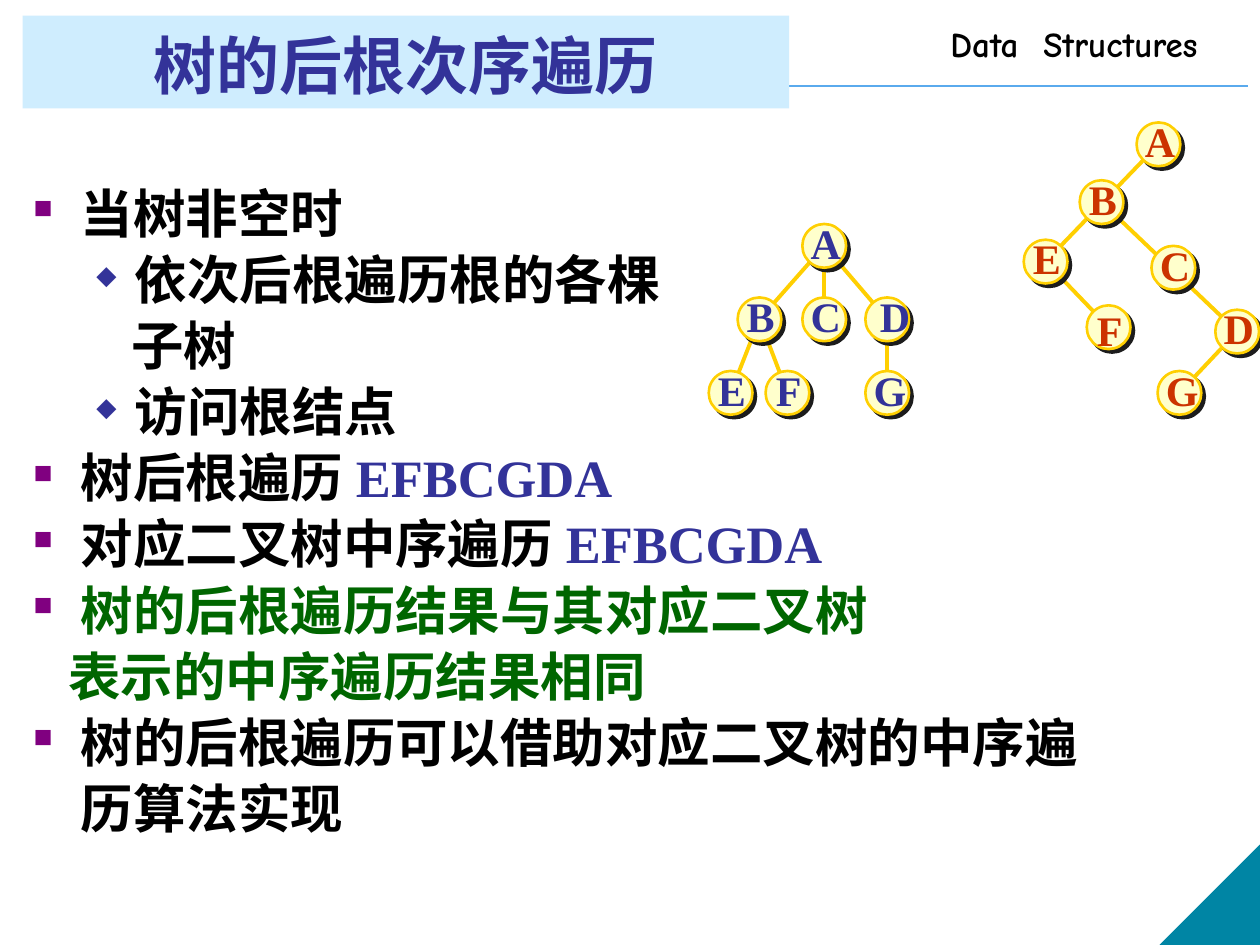
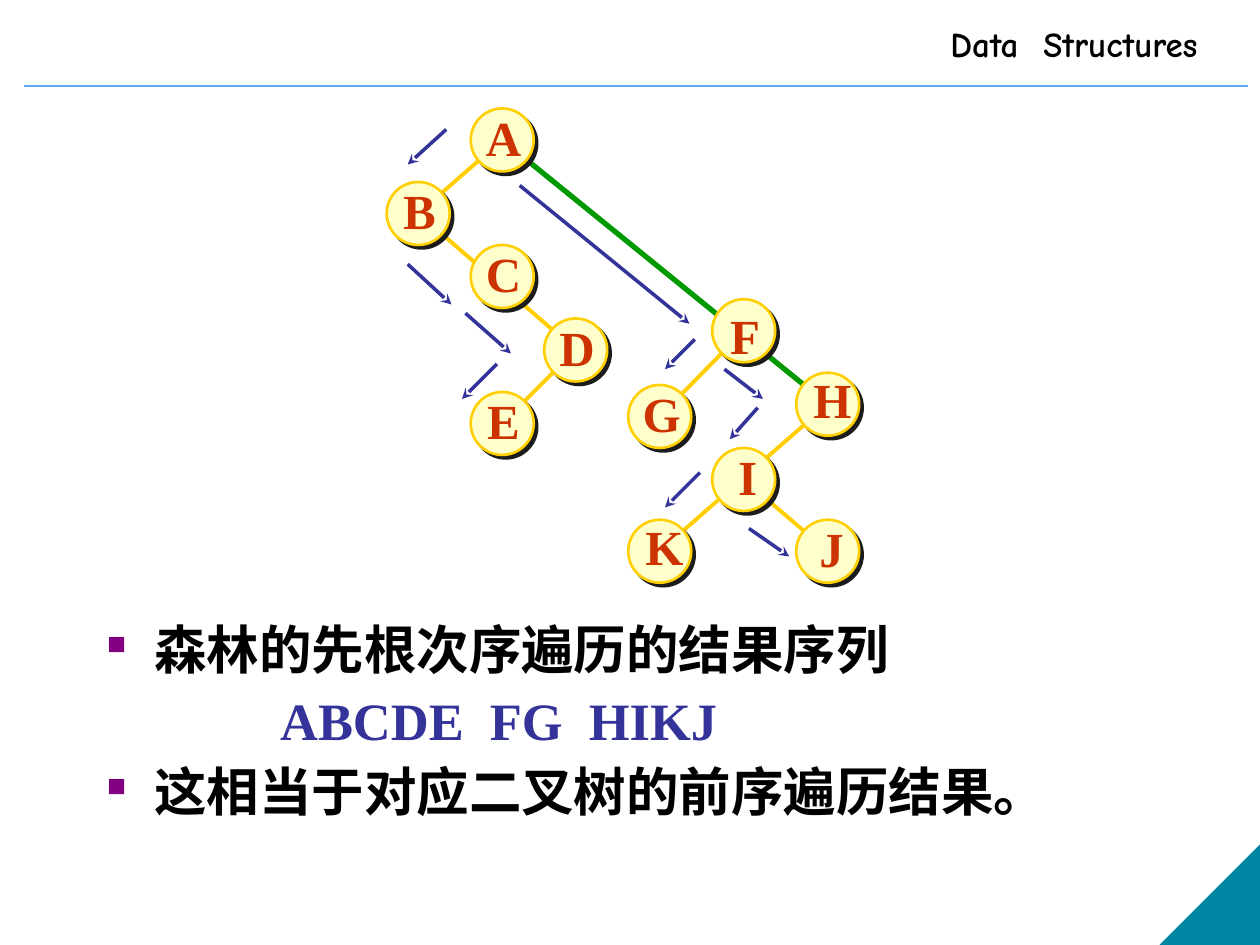
from math import hypot

from lxml import etree
from pptx import Presentation
from pptx.dml.color import RGBColor
from pptx.enum.shapes import MSO_CONNECTOR, MSO_SHAPE
from pptx.enum.text import MSO_ANCHOR, MSO_AUTO_SIZE, PP_ALIGN
from pptx.oxml.ns import qn
from pptx.util import Pt

CENTER = PP_ALIGN.CENTER
MIDDLE, BOTTOM = MSO_ANCHOR.MIDDLE, MSO_ANCHOR.BOTTOM
GROW = MSO_AUTO_SIZE.SHAPE_TO_FIT_TEXT
STRAIGHT = MSO_CONNECTOR.STRAIGHT
RECTANGLE, ELLIPSE = MSO_SHAPE.RECTANGLE, MSO_SHAPE.OVAL
CORNER = MSO_SHAPE.RIGHT_TRIANGLE

BLACK, NAVY, GREEN, RED, PURPLE = "000000", "333399", "006600", "CC3300", "800080"
TITLE_BAND, RULE, TEAL = "CFEDFE", "5AAAED", "0085A4"
NODE_FILL, GOLD, NODE_SHADOW, LINK_GREEN = "FFFFCC", "FFCF01", "1C1C1C", "009900"
SANS, SERIF, HEADER_FONT = "Lato", "Times New Roman", "Comic Neue"

# Bullet character, its colour, left margin and hanging indent
SQUARE = ("■", PURPLE, 27, -27)
DIAMOND = ("◆", NAVY, 58, -22)


def color(hex_string):
    return RGBColor.from_string(hex_string)


def add_element(parent, tag, **attributes):
    return etree.SubElement(parent, qn(tag), attributes)


def set_font(font, size, hex_string, name):
    font.size, font.bold, font.name = Pt(size), True, name
    font.color.rgb = color(hex_string)
    add_element(font._rPr, "a:ea", typeface=SANS)


def add_filled(slide, kind, box, fill, outline=None, width=1):
    shape = slide.shapes.add_shape(kind, *map(Pt, box))
    shape.shadow.inherit = False
    shape.fill.solid()
    shape.fill.fore_color.rgb = color(fill)
    if outline:
        shape.line.color.rgb = color(outline)
        shape.line.width = Pt(width)
    else:
        shape.line.fill.background()
    return shape


def add_line(slide, start, end, hex_string, width, arrow=False):
    line = slide.shapes.add_connector(STRAIGHT, *map(Pt, (*start, *end)))
    line.line.color.rgb = color(hex_string)
    line.line.width = Pt(width)
    if arrow:
        add_element(line.line._get_or_add_ln(), "a:tailEnd", type="stealth")
    add_element(line._element.spPr, "a:effectLst")


def add_text_box(slide, box, wrap=True):
    frame = slide.shapes.add_textbox(*map(Pt, box)).text_frame
    frame.word_wrap = wrap
    return frame


def set_indent(paragraph, margin, indent=0, bullet=None):
    properties = paragraph._p.get_or_add_pPr()
    properties.set("marL", str(Pt(margin)))
    properties.set("indent", str(Pt(indent)))
    if bullet:
        character, hex_string = bullet
        bullet_color = add_element(properties, "a:buClr")
        add_element(bullet_color, "a:srgbClr", val=hex_string)
        add_element(properties, "a:buSzPct", val="50000")
        add_element(properties, "a:buChar", char=character)


def add_frame(presentation):
    """New slide with the header, rule and corner that all slides share."""
    slide = presentation.slides.add_slide(presentation.slide_layouts[6])
    add_line(slide, (14, 49), (713, 49), RULE, 1)
    corner = add_filled(slide, CORNER, (663, 483, 57, 57), TEAL, TEAL, 0.75)
    corner._element.spPr.xfrm.set("flipH", "1")
    paragraph = add_text_box(slide, (536, 9.5, 187, 31)).paragraphs[0]
    paragraph.text = "Data  Structures"
    set_font(paragraph.font, 20, BLACK, HEADER_FONT)
    return slide


def add_title(slide, box, text):
    band = add_filled(slide, RECTANGLE, box, TITLE_BAND)
    band.text_frame.vertical_anchor = BOTTOM
    paragraph = band.text_frame.paragraphs[0]
    paragraph.text = text
    paragraph.alignment = CENTER
    set_font(paragraph.font, 36, NAVY, SANS)


def add_body(slide, box, items, font_name, line_spacing=1.0, space_before=0):
    """Items are (text, layout, colour, highlighted ending).

    The layout is a bullet style, or the left margin of a plain line.
    """
    frame = add_text_box(slide, box)
    for index, (text, layout, text_color, ending) in enumerate(items):
        paragraph = frame.add_paragraph() if index else frame.paragraphs[0]
        paragraph.line_spacing = line_spacing
        if index:
            paragraph.space_before = Pt(space_before)
        if isinstance(layout, tuple):
            set_indent(paragraph, *layout[2:], bullet=layout[:2])
        else:
            set_indent(paragraph, layout)
        paragraph.add_run().text = text
        set_font(paragraph.font, 30, text_color, font_name)
        if ending:
            run = paragraph.add_run()
            run.text = ending
            set_font(run.font, 30, NAVY, SERIF)


def add_node(slide, center, diameter):
    x, y = center
    box = (x - diameter / 2, y - diameter / 2, diameter, diameter)
    node = add_filled(slide, ELLIPSE, box, NODE_FILL, GOLD, 1.5)
    effects = node._element.spPr.find(qn("a:effectLst"))
    shadow = add_element(effects, "a:outerShdw", dist=str(Pt(2.8)),
                         dir="2700000", algn="ctr", rotWithShape="0")
    add_element(shadow, "a:srgbClr", val=NODE_SHADOW)


def add_label(slide, center, name, size, hex_string):
    width, height = size + 7, size * 1.2 + 7.2
    x, y = center
    frame = add_text_box(
        slide, (x - width / 2, y - height / 2, width, height), wrap=False)
    frame.auto_size = GROW
    frame.vertical_anchor = MIDDLE
    paragraph = frame.paragraphs[0]
    paragraph.text = name
    paragraph.alignment = CENTER
    set_font(paragraph.font, size, hex_string, SERIF)


def add_tree(slide, origin, tree, diameter, size, label_color):
    """Draw links, then nodes with labels; centres are relative to origin."""
    left, top = origin
    centers = {name: (left + x, top + y)
               for name, (x, y) in tree["nodes"].items()}
    strong = tree.get("strong", "")
    trim = 8  # links end this far from the node centres
    for first, last in [*strong.split(), *tree["links"].split()]:
        (x1, y1), (x2, y2) = centers[first], centers[last]
        length = hypot(x2 - x1, y2 - y1)
        dx, dy = (x2 - x1) * trim / length, (y2 - y1) * trim / length
        is_strong = first + last in strong
        add_line(slide, (x1 + dx, y1 + dy), (x2 - dx, y2 - dy),
                 LINK_GREEN if is_strong else GOLD, 3 if is_strong else 2.25)
    for name, (x, y) in centers.items():
        dx, dy = tree["nudges"].get(name, (0, 0))
        add_node(slide, (x, y), diameter)
        add_label(slide, (x + 0.7 + dx, y - 2 + dy), name, size, label_color)


def add_visit_arrows(slide, origin, arrows):
    left, top = origin
    for x1, y1, x2, y2 in arrows:
        add_line(slide, (left + x1, top + y1), (left + x2, top + y2),
                 NAVY, 2, arrow=True)


ROWS = (12.5, 54.5, 96.5)
GENERAL_TREE = {
    "nodes": {"A": (66, ROWS[0]), "B": (29, ROWS[1]), "C": (66, ROWS[1]),
              "D": (102, ROWS[1]), "E": (12.5, ROWS[2]), "F": (45, ROWS[2]),
              "G": (102, ROWS[2])},
    "links": "AB AC AD BE BF DG",
    "nudges": {"D": (3.5, 0)},
}
BINARY_TREE = {
    "nodes": {"A": (77, 12.5), "B": (44.5, 45.5), "C": (85.5, 83),
              "D": (122, 119.5), "E": (12.5, 79.5), "F": (48.5, 117),
              "G": (89, 154.5)},
    "links": "AE BD EF DG",
    "nudges": {"F": (0, 3.5)},
}
FOREST_TREE = {
    "nodes": {"A": (66, 18), "B": (18, 60), "C": (66, 96), "D": (108, 138),
              "E": (66, 180), "F": (204, 127), "G": (156, 176),
              "H": (252, 169), "I": (204, 212), "J": (252, 253),
              "K": (156, 253)},
    "links": "AB BD DE FG HK IJ",
    "strong": "AH",
    "nudges": {"F": (0, 4.5), "H": (1.5, -1), "I": (1.5, 0),
               "J": (1.5, 0), "K": (1.5, -1)},
}
VISIT_ARROWS = [
    (34, 12, 12, 32), (12, 89, 37, 112), (45, 117, 71, 140),
    (63, 146, 43, 166), (76, 44, 173, 123), (176, 132, 159, 149),
    (193, 149, 215, 166), (212, 171, 196, 189), (179, 208, 159, 228),
    (207, 240, 230, 256),
]
POSTORDER_TEXT = [
    ("当树非空时", SQUARE, BLACK, ""),
    ("依次后根遍历根的各棵", DIAMOND, BLACK, ""),
    ("子树", 56, BLACK, ""),
    ("访问根结点", DIAMOND, BLACK, ""),
    ("树后根遍历 ", SQUARE, BLACK, "EFBCGDA"),
    ("对应二叉树中序遍历 ", SQUARE, BLACK, "EFBCGDA"),
    ("树的后根遍历结果与其对应二叉树", SQUARE, GREEN, ""),
    ("表示的中序遍历结果相同", 20, GREEN, ""),
    ("树的后根遍历可以借助对应二叉树的中序遍历算法实现", SQUARE, BLACK, ""),
]
FOREST_TEXT = [
    ("森林的先根次序遍历的结果序列", SQUARE, BLACK, ""),
    ("ABCDE  FG  HIKJ", 99, NAVY, ""),
    ("这相当于对应二叉树的前序遍历结果。", SQUARE, BLACK, ""),
]


def build_postorder_slide(presentation):
    slide = add_frame(presentation)
    add_title(slide, (13, 9, 438, 53), "树的后根次序遍历")
    add_body(slide, (12, 98, 620, 405), POSTORDER_TEXT, SANS, line_spacing=1.05)
    add_tree(slide, (585, 70), BINARY_TREE, 25, 24, RED)
    add_tree(slide, (405, 128), GENERAL_TREE, 25, 24, NAVY)


def build_forest_slide(presentation):
    slide = add_frame(presentation)
    add_body(slide, (54, 349, 648, 145), FOREST_TEXT, SERIF, space_before=4.5)
    origin = (221, 62)
    add_tree(slide, origin, FOREST_TREE, 36, 28, RED)
    add_visit_arrows(slide, origin, VISIT_ARROWS)


def main():
    presentation = Presentation()
    presentation.slide_width, presentation.slide_height = Pt(720), Pt(540)
    build_postorder_slide(presentation)
    build_forest_slide(presentation)
    presentation.save("out.pptx")


if __name__ == "__main__":
    main()
